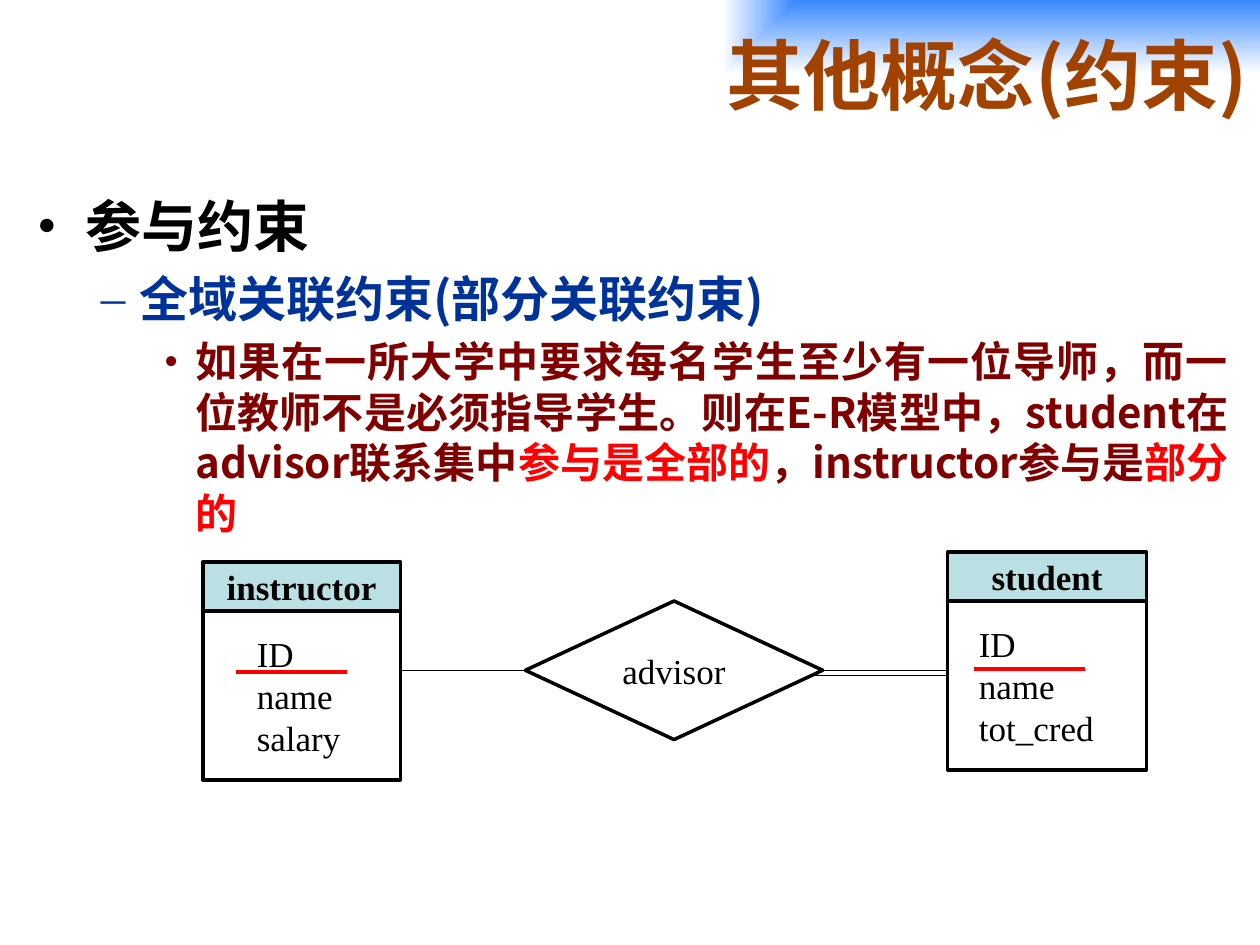
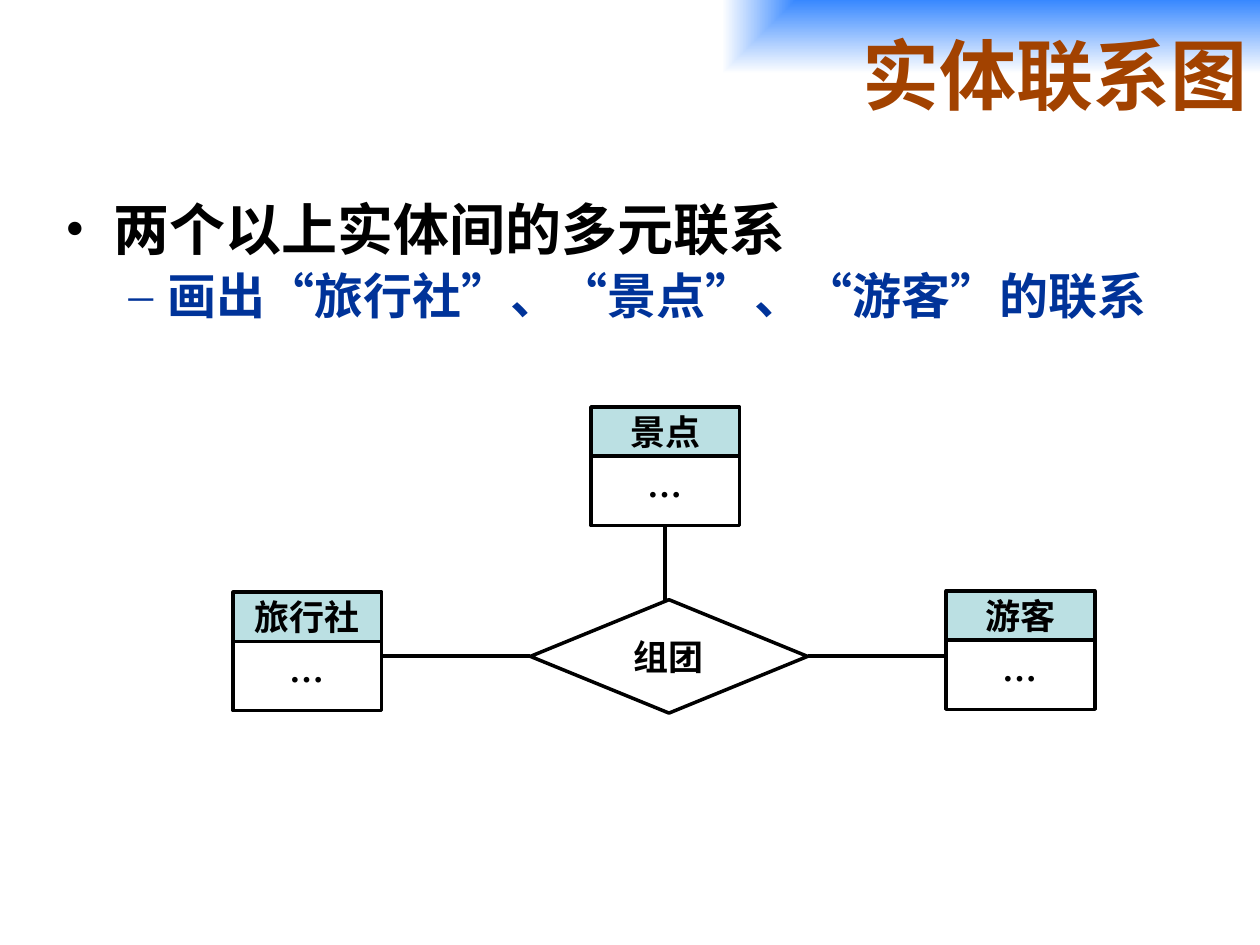
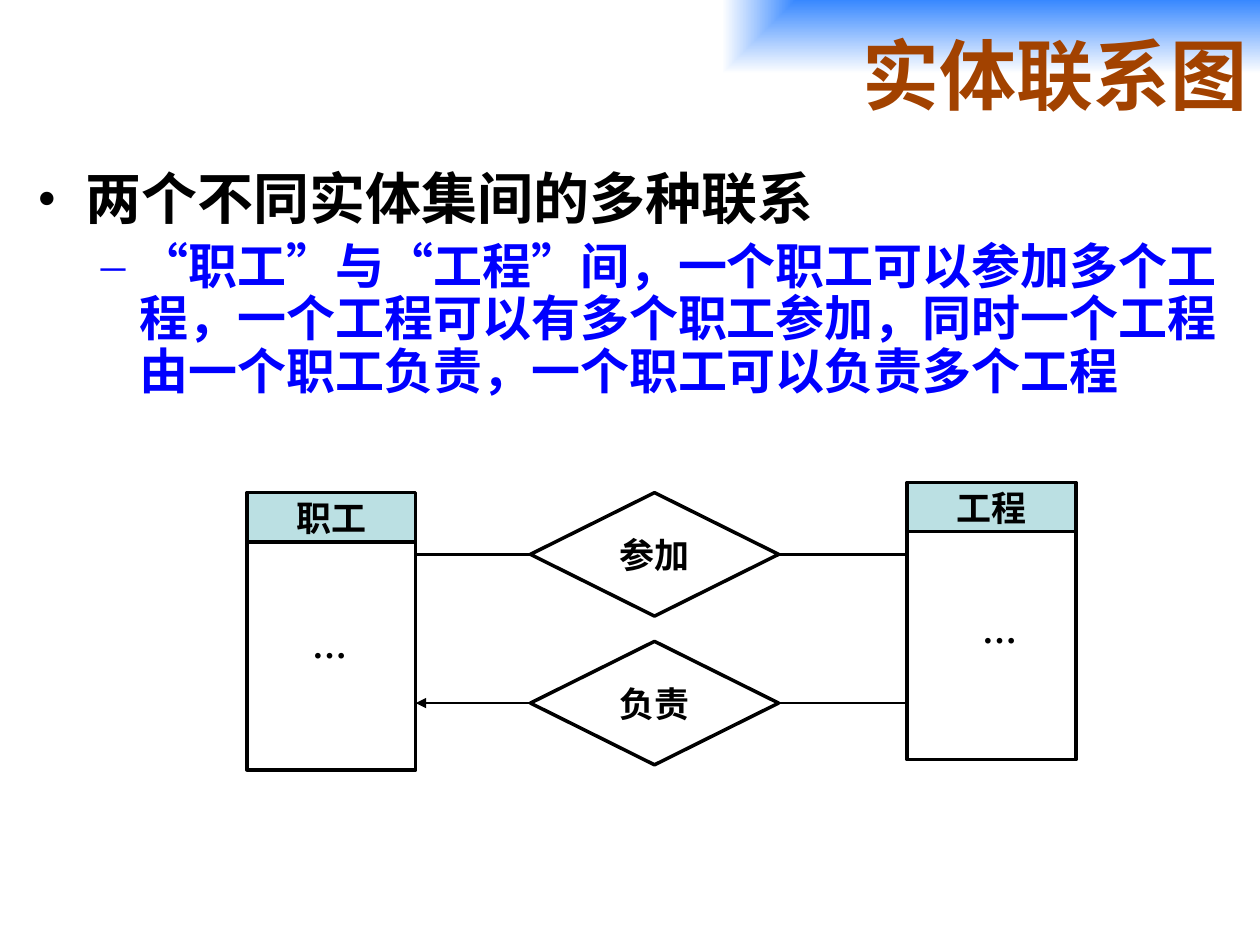
import dataclasses
import pptx
import pptx.dml.color
import pptx.enum.shapes
import pptx.enum.text
import pptx.oxml
import pptx.oxml.ns
import pptx.util

SHAPE = pptx.enum.shapes.MSO_SHAPE
ALIGN = pptx.enum.text.PP_ALIGN
ANCHOR = pptx.enum.text.MSO_ANCHOR
qn = pptx.oxml.ns.qn
inch = pptx.util.Inches


@dataclasses.dataclass(frozen=True)
class Theme:
    title: str = "A24200"
    band: str = "3888FF"
    paper: str = "FFFFFF"
    ink: str = "000000"
    navy: str = "003399"
    blue: str = "0000FF"
    maroon: str = "800000"
    red: str = "FF0000"
    header: str = "BBE0E3"
    title_font: str = "Noto Sans CJK SC"
    body_font: str = "Noto Sans CJK JP"
    diagram_font: str = "Times New Roman"
    title_size: int = 44
    level_sizes: tuple = (32, 28, 24)
    diagram_size: int = 20
    outline: float = 2


THEME = Theme()
SLIDE_W, SLIDE_H = 10, 7.5
TITLE_BOX = (1.46, 0, 8.54, 1.17)
HEADER_H = 0.39
LINE_H = 0.335  # one attribute line
KEY_W = 0.88

# Bullet, left margin and hanging indent of each outline level
LEVELS = (("•", 0.38, -0.38), ("–", 0.81, -0.31), ("•", 1.25, -0.25))

# Outline: (level, [(text, colour), ...])
# Entities: name -> left, top, width, body height, attributes,
#           attribute box (right, down, width from the body corner), key underline
# Relations: name -> left, top, width, height
# Links: entity, relation, options
SLIDES = [
    dict(
        title="其他概念(约束)",
        body=(0.2, 1.47, 9.65, 4.95), spacing=1.0, justify=True,
        outline=[
            (0, [("参与约束", THEME.ink)]),
            (1, [("全域关联约束(部分关联约束)", THEME.navy)]),
            (2, [("如果在一所大学中要求每名学生至少有一位导师，而一位教师不是必须指导学生。"
                  "则在E-R模型中，student在advisor联系集中", THEME.maroon),
                 ("参与是全部的", THEME.red),
                 ("，instructor参与是", THEME.maroon),
                 ("部分的", THEME.red)]),
        ],
        entities={
            "instructor": (1.61, 4.46, 1.57, 1.34, ["ID", "name", "salary"],
                           (0.33, 0.12, 0.9), (0.26, 0.48)),
            "student": (7.52, 4.38, 1.58, 1.34, ["ID", "name", "tot_cred"],
                        (0.15, 0.12, 1.11), (0.21, 0.54)),
        },
        relations={"advisor": (4.17, 4.77, 2.36, 1.1)},
        relation_bold=False, link_width=0.75,
        links=[("instructor", "advisor", {}),
               ("student", "advisor", {"double": True})],
    ),
    dict(
        title="实体联系图",
        body=(0.42, 1.55, 9, 1.21), spacing=0.9, justify=False,
        outline=[
            (0, [("两个以上实体间的多元联系", THEME.ink)]),
            (1, [("画出“旅行社”、“景点”、“游客”的联系", THEME.navy)]),
        ],
        entities={
            "景点": (4.69, 3.23, 1.18, 0.55, ["…"], (0.35, 0.09, 0.47), None),
            "旅行社": (1.85, 4.7, 1.18, 0.55, ["…"], (0.35, 0.09, 0.47), None),
            "游客": (7.51, 4.69, 1.18, 0.55, ["…"], (0.35, 0.09, 0.47), None),
        },
        relations={"组团": (4.21, 4.76, 2.2, 0.9)},
        relation_bold=True, link_width=2.25,
        links=[("旅行社", "组团", {}), ("游客", "组团", {}), ("景点", "组团", {})],
    ),
    dict(
        title="实体联系图",
        body=(0.2, 1.31, 9.69, 2.08), spacing=0.9, justify=False,
        outline=[
            (0, [("两个不同实体集间的多种联系", THEME.ink)]),
            (1, [("“职工”与“工程”间，一个职工可以参加多个工程，一个工程可以有多个职工参加，"
                  "同时一个工程由一个职工负责，一个职工可以负责多个工程", THEME.blue)]),
        ],
        entities={
            "职工": (1.96, 3.91, 1.34, 1.81, ["…"], (0.42, 0.69, 0.48), None),
            "工程": (7.2, 3.83, 1.34, 1.81, ["…"], (0.5, 0.65, 0.48), None),
        },
        relations={"参加": (4.21, 3.91, 1.97, 0.98), "负责": (4.21, 5.09, 1.97, 0.98)},
        relation_bold=True, link_width=1.5,
        links=[("职工", "参加", {}), ("工程", "参加", {}),
               ("职工", "负责", {"arrow": True}), ("工程", "负责", {})],
    ),
]


def rgb(colour):
    return pptx.dml.color.RGBColor.from_string(colour)


def write(paragraph, text, *, size, font, color=THEME.ink, bold=False, align=None):
    """Add one formatted run to a paragraph."""
    run = paragraph.add_run()
    run.text = text
    run.font.size = pptx.util.Pt(size)
    run.font.bold = bold
    run.font.color.rgb = rgb(color)
    run.font.name = font
    east_asian = THEME.title_font if font == THEME.diagram_font else font
    properties = run.font._element
    properties.set("lang", "zh-CN")
    properties.append(pptx.oxml.parse_xml(
        f'<a:ea {pptx.oxml.ns.nsdecls("a")} typeface="{east_asian}"/>'))
    if align is not None:
        paragraph.alignment = align


def place(shape, box):
    shape.left, shape.top, shape.width, shape.height = map(inch, box)


# Title with the corner glow that fades from the top right
def fill_title(title, text):
    place(title, TITLE_BOX)
    title._element.spPr.append(pptx.oxml.parse_xml(
        f'<a:gradFill {pptx.oxml.ns.nsdecls("a")} rotWithShape="0"><a:gsLst>'
        f'<a:gs pos="0"><a:srgbClr val="{THEME.band}"/></a:gs>'
        f'<a:gs pos="100000"><a:srgbClr val="{THEME.paper}"/></a:gs></a:gsLst>'
        '<a:path path="rect"><a:fillToRect l="100000" b="100000"/></a:path></a:gradFill>'))
    frame = title.text_frame
    frame.auto_size = pptx.enum.text.MSO_AUTO_SIZE.NONE
    frame.vertical_anchor = ANCHOR.MIDDLE
    write(frame.paragraphs[0], text, size=THEME.title_size, font=THEME.title_font,
          color=THEME.title, bold=True, align=ALIGN.RIGHT)


# Bulleted outline
def fill_outline(body, content):
    place(body, content["body"])
    frame = body.text_frame
    frame.auto_size = pptx.enum.text.MSO_AUTO_SIZE.NONE
    for index, (level, runs) in enumerate(content["outline"]):
        paragraph = frame.add_paragraph() if index else frame.paragraphs[0]
        paragraph.level = level
        paragraph.line_spacing = content["spacing"]
        bullet, margin, hanging = LEVELS[level]
        properties = paragraph._p.get_or_add_pPr()
        properties.set("marL", str(inch(margin)))
        properties.set("indent", str(inch(hanging)))
        for tag, key, value in (("buFont", "typeface", THEME.diagram_font),
                                ("buChar", "char", bullet)):
            properties.append(pptx.oxml.parse_xml(
                f'<a:{tag} {pptx.oxml.ns.nsdecls("a")} {key}="{value}"/>'))
        align = ALIGN.JUSTIFY if content["justify"] and level else ALIGN.LEFT
        for text, color in runs:
            write(paragraph, text, size=THEME.level_sizes[level], font=THEME.body_font,
                  color=color, bold=True, align=align)


# Diagram parts
def add_node(slide, kind, box, fill, label="", bold=True):
    node = slide.shapes.add_shape(kind, *map(inch, box))
    node.shadow.inherit = False
    node.fill.solid()
    node.fill.fore_color.rgb = rgb(fill)
    node.line.color.rgb = rgb(THEME.ink)
    node.line.width = pptx.util.Pt(THEME.outline)
    if label:
        node.text_frame.vertical_anchor = ANCHOR.MIDDLE
        write(node.text_frame.paragraphs[0], label, size=THEME.diagram_size,
              font=THEME.diagram_font, bold=bold, align=ALIGN.CENTER)


def add_line(slide, start, end, width, color=THEME.ink, arrow=False):
    line = slide.shapes.add_connector(pptx.enum.shapes.MSO_CONNECTOR.STRAIGHT,
                                      *map(inch, start + end))
    line.line.color.rgb = rgb(color)
    line.line.width = pptx.util.Pt(width)
    if arrow:
        line.line._get_or_add_ln().append(pptx.oxml.parse_xml(
            f'<a:headEnd {pptx.oxml.ns.nsdecls("a")} type="triangle"/>'))
    line._element.spPr.append(line._element.makeelement(qn("a:effectLst"), {}))


def add_entity(slide, name, entity):
    left, top, width, body_h, attributes, (right, down, text_w), key = entity
    body_top = top + HEADER_H
    add_node(slide, SHAPE.RECTANGLE, (left, top, width, HEADER_H), THEME.header, name)
    add_node(slide, SHAPE.RECTANGLE, (left, body_top, width, body_h), THEME.paper)
    listing = slide.shapes.add_textbox(*map(inch, (
        left + right, body_top + down, text_w, 0.1 + LINE_H * len(attributes))))
    frame = listing.text_frame
    frame.word_wrap = False
    elided = attributes == ["…"]
    for index, attribute in enumerate(attributes):
        paragraph = frame.add_paragraph() if index else frame.paragraphs[0]
        write(paragraph, attribute, size=THEME.diagram_size, bold=elided,
              font=THEME.title_font if elided else THEME.diagram_font)
    if key:
        x, y = left + key[0], body_top + key[1]
        add_line(slide, (x, y), (x + KEY_W, y), 2.25, THEME.red)


def add_link(slide, entity, relation, width, double=False, arrow=False):
    """Join the facing edges: sideways, or downwards when the entity is above."""
    left, top, entity_w, body_h = entity[:4]
    diamond_left, diamond_top, diamond_w, diamond_h = relation
    y = diamond_top + diamond_h / 2
    if left + entity_w < diamond_left:
        start, end = (left + entity_w, y), (diamond_left, y)
    elif left > diamond_left + diamond_w:
        start, end = (left, y), (diamond_left + diamond_w, y)
    else:
        x = left + entity_w / 2
        start, end = (x, top + HEADER_H + body_h), (x, diamond_top)
    add_line(slide, start, end, width, arrow=arrow)
    if double:
        add_line(slide, (start[0], y + 0.04), (end[0] - 0.07, y + 0.04), width)


def build_slide(deck, content):
    slide = deck.slides.add_slide(deck.slide_layouts[1])
    fill_title(slide.shapes.title, content["title"])
    fill_outline(slide.placeholders[1], content)
    for name, entity in content["entities"].items():
        add_entity(slide, name, entity)
    for name, box in content["relations"].items():
        add_node(slide, SHAPE.FLOWCHART_DECISION, box, THEME.paper, name,
                 content["relation_bold"])
    for entity, relation, options in content["links"]:
        add_link(slide, content["entities"][entity], content["relations"][relation],
                 content["link_width"], **options)


def main():
    deck = pptx.Presentation()
    deck.slide_width, deck.slide_height = inch(SLIDE_W), inch(SLIDE_H)
    for content in SLIDES:
        build_slide(deck, content)
    deck.save("out.pptx")


if __name__ == "__main__":
    main()
